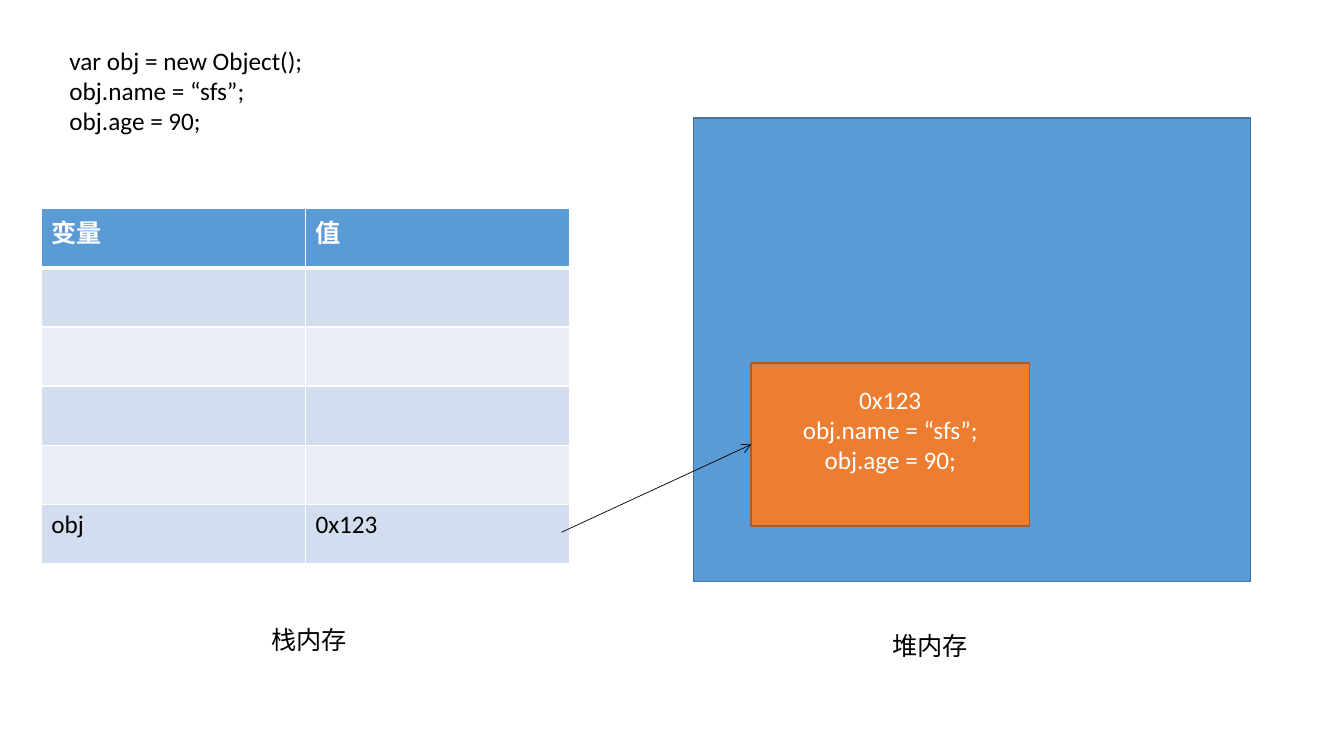
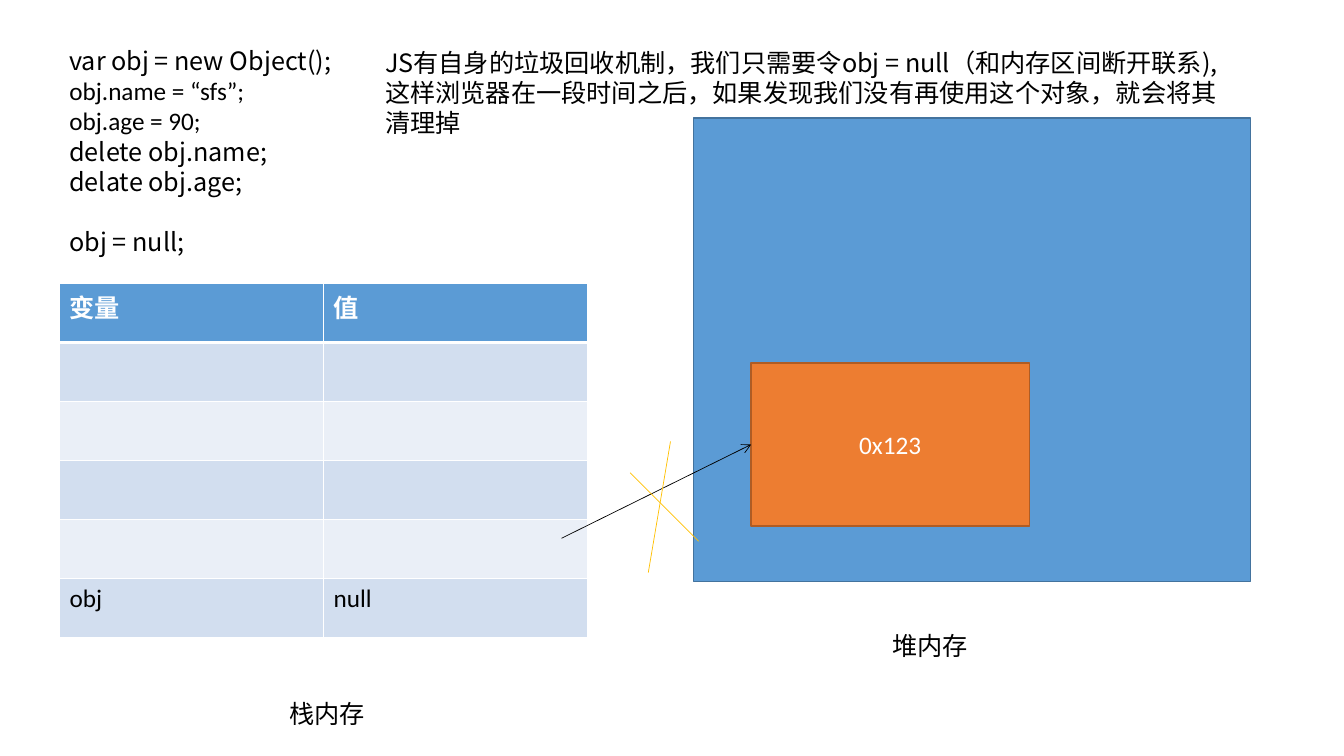
from pptx import Presentation
from pptx.dml.color import RGBColor
from pptx.enum.shapes import MSO_CONNECTOR as Link, MSO_SHAPE as Form
from pptx.enum.text import MSO_ANCHOR as Anchor, MSO_AUTO_SIZE as Auto, PP_ALIGN as Align
from pptx.oxml import parse_xml
from pptx.oxml.ns import nsdecls
from pptx.util import Inches, Pt

tint = RGBColor.from_string
BLUE, ORANGE, GOLD, BLACK, WHITE = "5B9BD5", "ED7D31", "FFC000", "000000", "FFFFFF"
BANDS = ["D2DEEF", "EAEFF7"]
LATIN, HAN = "Calibri", "Noto Sans CJK SC"
NS = nsdecls("a")


def write(frame, lines, hue=BLACK, align=Align.LEFT, bold=False, **look):
    for key, value in look.items():
        setattr(frame, key, value)
    for i, (text, face, gap) in enumerate(lines):
        para = frame.paragraphs[0] if i == 0 else frame.add_paragraph()
        para.alignment = align
        if gap:
            para.space_before = Pt(gap)
        run = para.add_run()
        run.text = text
        form = {"name": face, "size": Pt(18), "bold": bold}
        for key, value in form.items():
            setattr(run.font, key, value)
        run.font.color.rgb = tint(hue)


def join(slide, ends, hue, arrow=False):
    link = slide.shapes.add_connector(Link.STRAIGHT, *map(Inches, ends))
    link.line.width = Pt(0.5)
    link.line.color.rgb = tint(hue)
    props = link._element.spPr
    if arrow:
        props.find("{*}ln").append(parse_xml(f'<a:tailEnd {NS} type="arrow"/>'))
    props.append(parse_xml(f"<a:effectLst {NS}/>"))


make = ("var obj = new Object();", LATIN, 0)
sets = [("obj.name = “sfs”;", LATIN, 0), ("obj.age = 90;", LATIN, 0)]
spot = ("0x123", LATIN, 0)
clear = [("delete obj.name;", HAN, 0), ("delate obj.age;", HAN, 0), ("obj = null;", HAN, 21.5)]
hint = ("JS有自身的垃圾回收机制，我们只需要令obj = null（和内存区间断开联系),这样浏览器在一段时间之后，"
        "如果发现我们没有再使用这个对象，就会将其清理掉")

pages = [
    {"stack": (0.41, 2.07), "value": "0x123", "label": (2.59, 6.14), "held": [spot] + sets, "foot": 0.35,
     "code": [make] + sets, "area": (0.59, 0.4, 2.51, 1.31), "wrap": False, "start": 5.28,
     "notes": [], "cross": []},
    {"stack": (0.59, 2.81), "value": "null", "label": (2.77, 6.88), "held": [spot], "foot": 0.05,
     "code": [(make[0], HAN, 0)] + sets + clear, "area": (0.59, 0.4, 3.13, 2.52), "wrap": True, "start": 5.34,
     "notes": [([(hint, HAN, 0)], (3.72, 0.42, 8.69, 1.31), True)],
     "cross": [(6.65, 4.38, 6.43, 5.68), (6.25, 4.69, 6.93, 5.37)]},
]

deck = Presentation()
deck.slide_width, deck.slide_height = Inches(13.33), Inches(7.5)

for page in pages:
    slide = deck.slides.add_slide(deck.slide_layouts[6])
    shapes = slide.shapes

    rows = [("变量", "值")] + [("", "")] * 4 + [("obj", page["value"])]
    stack = shapes.add_table(6, 2, *map(Inches, (*page["stack"], 5.24, 3.52))).table
    for r, row in enumerate(rows):
        for c, text in enumerate(row):
            cell = stack.cell(r, c)
            props = cell._tc.get_or_add_tcPr()
            for side in "LRTB":
                wide = 3 if (r, side) in [(0, "B"), (1, "T")] else 1
                props.append(parse_xml(
                    f'<a:ln{side} {NS} w="{Pt(wide)}"><a:solidFill><a:srgbClr val="{WHITE}"/>'
                    f"</a:solidFill></a:ln{side}>"))
            cell.fill.solid()
            cell.fill.fore_color.rgb = tint(BANDS[(r - 1) % 2] if r else BLUE)
            if text:
                write(cell.text_frame, [(text, LATIN, 0)], BLACK if r else WHITE, bold=r == 0)

    boxes = []
    for area, fill, edge in [((6.88, 1.17, 5.52, 4.6), BLUE, "43739E"),
                             ((7.45, 3.6, 2.76, 1.62), ORANGE, "AF5C24")]:
        box = shapes.add_shape(Form.RECTANGLE, *map(Inches, area))
        box.shadow.inherit = False
        box.fill.solid()
        box.fill.fore_color.rgb = tint(fill)
        box.line.color.rgb = tint(edge)
        box.line.width = Pt(1)
        boxes.append(box)
    write(boxes[1].text_frame, page["held"], WHITE, Align.CENTER, word_wrap=True,
          vertical_anchor=Anchor.MIDDLE, margin_bottom=Inches(page["foot"]))

    texts = [([("栈内存", LATIN, 0)], (*page["label"], 0.95, 0.4), False),
             ([("堆内存", LATIN, 0)], (8.75, 6.2, 0.95, 0.71), False),
             (page["code"], page["area"], page["wrap"])] + page["notes"]
    for lines, area, wrap in texts:
        note = shapes.add_textbox(*map(Inches, area))
        write(note.text_frame, lines, word_wrap=wrap, auto_size=Auto.SHAPE_TO_FIT_TEXT)

    join(slide, (5.57, page["start"], 7.45, 4.41), BLACK, arrow=True)
    for ends in page["cross"]:
        join(slide, ends, GOLD)

deck.save("out.pptx")
